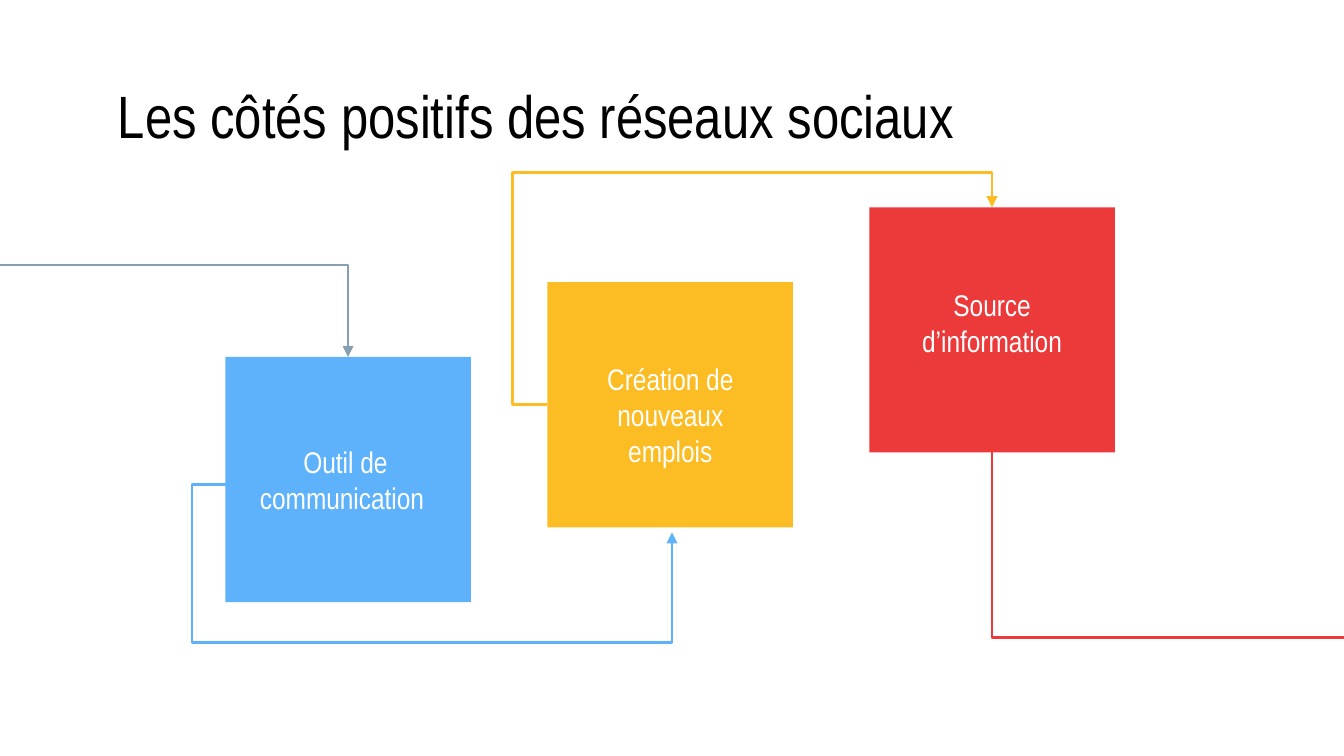
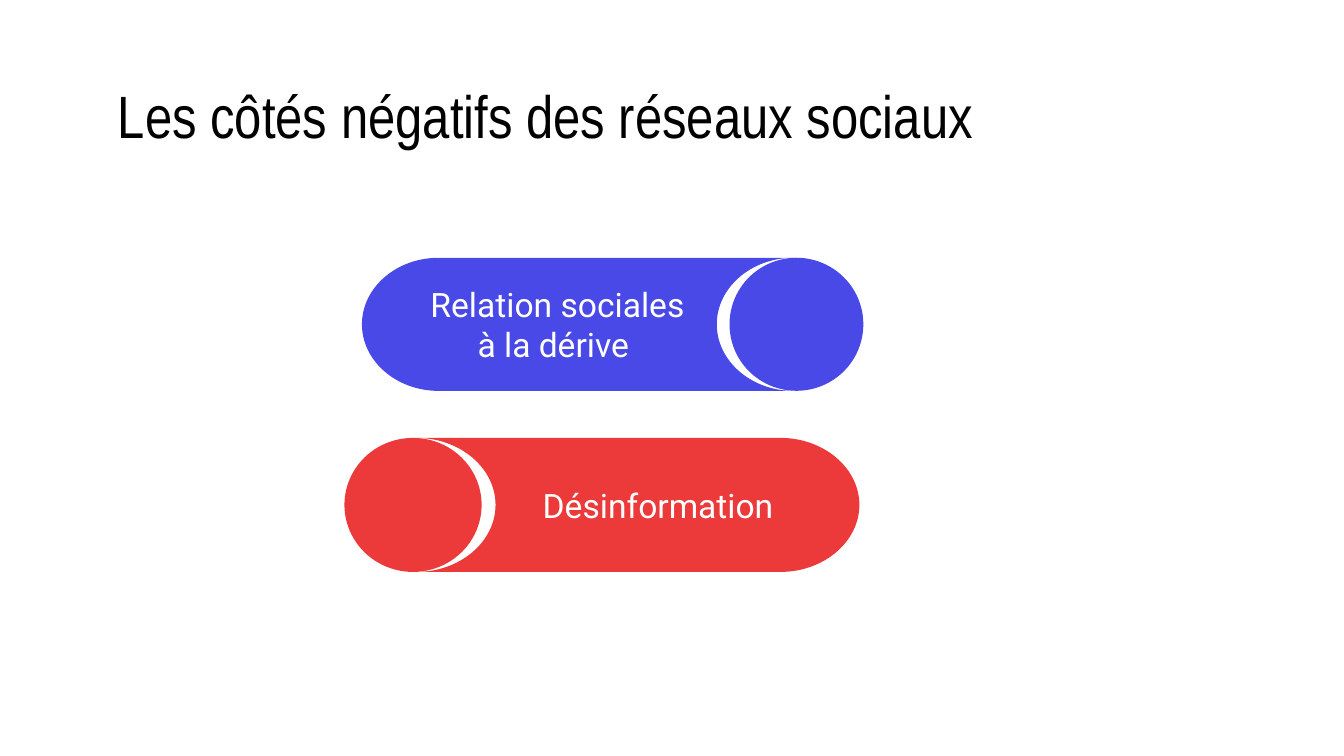
from dataclasses import dataclass

from lxml.etree import SubElement
from pptx import Presentation
from pptx.dml.color import RGBColor
from pptx.enum.shapes import MSO_CONNECTOR as Link, MSO_SHAPE as Preset
from pptx.enum.text import MSO_ANCHOR as Anchor, PP_ALIGN as Align
from pptx.oxml.ns import qn
from pptx.shapes.autoshape import Shape
from pptx.shapes.shapetree import GroupShapes, SlideShapes
from pptx.slide import Slide
from pptx.text.text import TextFrame
from pptx.util import Pt

BLACK, WHITE = "000000", "FFFFFF"
SLATE, SKY, AMBER, RED, INDIGO = "869FB2", "5EB2FC", "FCBD24", "EC3A3B", "4949E7"
NARROW, ROUND = "Arial Narrow", "Roboto"
INSET = 7.2
ROUNDNESS = 0.55

SQUARE_LEFT, SQUARE_TOP = 120.75, 191.25
SQUARE_STEP_X, SQUARE_STEP_Y = 172.5, -40.1
SQUARE_WIDTH, SQUARE_HEIGHT = 131.5, 131.4

Point = tuple[float, float]
Shapes = SlideShapes | GroupShapes


@dataclass(frozen=True)
class Route:
    start: Point
    end: Point
    color: str
    bend: str
    rotation: int = 0
    flipped: bool = False
    adjustments: tuple[int, ...] = ()
    arrow: str = ""


@dataclass(frozen=True)
class Benefit:
    label: str
    color: str
    label_left: float
    label_top: float
    route: Route


@dataclass(frozen=True)
class Drawback:
    lines: tuple[str, ...]
    color: str
    top: float
    height: float
    near: float
    far: float
    bulge: float
    disc_left: float
    disc_width: float
    inset_left: float
    inset_right: float


ENTRY = Route((186.5, 191.25), (-7.3, 142), SLATE, "bentConnector2", 90, True, arrow="headEnd")

BENEFITS = (
    Benefit("Outil de communication ", SKY, 130.4, 243.4,
            Route((121.7, 259.6), (360, 285.2), SKY, "bentConnector4",
                  adjustments=(-7900, 331000), arrow="tailEnd")),
    Benefit("Création de nouveaux emplois", AMBER, 304.4, 208.5,
            Route((293.2, 216.8), (531.4, 111.1), AMBER, "bentConnector4", 180, True,
                  (-7900, 117700), "tailEnd")),
    Benefit("Source d’information", RED, 476.8, 159.1,
            Route((531.4, 242.4), (740.2, 341.4), RED, "bentConnector2", 270, True)),
)

DRAWBACKS = (
    Drawback(("Désinformation",), RED, 234.6, 71.8, 223.2, 418.1, 42.3,
             184.5, 73.5, 57.6, 36),
    Drawback(("Relation sociales", "à la dérive "), INDIGO, 138.1, 71.3, 234.9, 425, -41,
             390.8, 71.7, 36, 57.6),
)


def rgb(color: str) -> RGBColor:
    return RGBColor.from_string(color)


def paint(shape: Shape, color: str) -> None:
    shape.shadow.inherit = False
    shape.fill.solid()
    shape.fill.fore_color.rgb = rgb(color)
    shape.line.fill.background()


def write(frame: TextFrame, lines: tuple[str, ...], size: float, font: str, color: str,
          align: Align, inset_left: float = INSET, inset_right: float = INSET) -> None:
    frame.word_wrap = True
    frame.vertical_anchor = Anchor.MIDDLE
    frame.margin_left, frame.margin_right = Pt(inset_left), Pt(inset_right)
    frame.margin_top = frame.margin_bottom = Pt(INSET)
    for index, line in enumerate(lines):
        paragraph = frame.add_paragraph() if index else frame.paragraphs[0]
        paragraph.alignment = align
        run = paragraph.add_run()
        run.text = line
        run.font.size = Pt(size)
        run.font.name = font
        run.font.color.rgb = rgb(color)


def add_title(slide: Slide, title: str) -> None:
    box = slide.shapes.add_textbox(Pt(56), Pt(42.5), Pt(608.4), Pt(38.2))
    write(box.text_frame, (title,), 32, NARROW, BLACK, Align.LEFT)


def add_route(shapes: Shapes, route: Route) -> None:
    (x1, y1), (x2, y2) = route.start, route.end
    width, height = abs(x2 - x1), abs(y2 - y1)
    if route.rotation in (90, 270):
        width, height = height, width
    left, top = (x1 + x2 - width) / 2, (y1 + y2 - height) / 2
    connector = shapes.add_connector(
        Link.ELBOW, Pt(left), Pt(top), Pt(left + width), Pt(top + height))
    connector.line.color.rgb = rgb(route.color)
    connector.line.width = Pt(1.5)

    properties = connector._element.spPr
    frame = properties.find(qn("a:xfrm"))
    frame.set("rot", str(route.rotation * 60000))
    frame.set("flipH", str(int(route.flipped)))
    geometry = properties.find(qn("a:prstGeom"))
    geometry.set("prst", route.bend)
    guides = geometry.find(qn("a:avLst"))
    for number, value in enumerate(route.adjustments, 1):
        SubElement(guides, qn("a:gd"), name=f"adj{number}", fmla=f"val {value}")
    if route.arrow:
        SubElement(properties.find(qn("a:ln")), qn(f"a:{route.arrow}"), type="triangle")
    SubElement(properties, qn("a:effectLst"))


def add_benefit(slide: Slide, index: int, benefit: Benefit) -> None:
    shapes = slide.shapes.add_group_shape().shapes
    square = shapes.add_shape(
        Preset.RECTANGLE,
        Pt(SQUARE_LEFT + index * SQUARE_STEP_X), Pt(SQUARE_TOP + index * SQUARE_STEP_Y),
        Pt(SQUARE_WIDTH), Pt(SQUARE_HEIGHT))
    paint(square, benefit.color)
    add_route(shapes, benefit.route)
    label = shapes.add_textbox(
        Pt(benefit.label_left), Pt(benefit.label_top), Pt(109.4), Pt(27.4))
    write(label.text_frame, (benefit.label,), 16, NARROW, WHITE, Align.CENTER)


def toward(start: float, end: float) -> float:
    return start + ROUNDNESS * (end - start)


def round_corner(band: Shape, segment: int, start: Point, end: Point, from_cap: bool) -> None:
    (cap_x, cap_y), (side_x, side_y) = (start, end) if from_cap else (end, start)
    controls = [(toward(cap_x, side_x), cap_y), (side_x, toward(side_y, cap_y))]
    if not from_cap:
        controls.reverse()
    outline = next(band._element.iter(qn("a:path")))
    straight = outline[segment]
    curve = SubElement(outline, qn("a:cubicBezTo"))
    for x, y in (*controls, end):
        SubElement(curve, qn("a:pt"), x=str(Pt(x) - band.left), y=str(Pt(y) - band.top))
    outline.replace(straight, curve)


def add_band(shapes: Shapes, drawback: Drawback) -> Shape:
    top, bottom = drawback.top, drawback.top + drawback.height
    middle = (top + bottom) / 2
    near, far, bulge = drawback.near, drawback.far, drawback.bulge
    corners = [(near, top), (near + bulge, middle), (near, bottom),
               (far, bottom), (far + bulge, middle), (far, top)]
    vertices = [(Pt(x), Pt(y)) for x, y in corners]
    builder = shapes.build_freeform(*vertices[0])
    builder.add_line_segments(vertices[1:], close=True)
    band = builder.convert_to_shape()
    for segment in (1, 2, 4, 5):
        round_corner(band, segment, corners[segment - 1], corners[segment], segment in (1, 4))
    return band


def add_drawback(slide: Slide, drawback: Drawback) -> None:
    shapes = slide.shapes.add_group_shape().shapes
    band = add_band(shapes, drawback)
    paint(band, drawback.color)
    write(band.text_frame, drawback.lines, 18, ROUND, WHITE, Align.CENTER,
          drawback.inset_left, drawback.inset_right)
    disc = shapes.add_shape(
        Preset.OVAL, Pt(drawback.disc_left), Pt(drawback.top),
        Pt(drawback.disc_width), Pt(drawback.height))
    paint(disc, drawback.color)


def main() -> None:
    deck = Presentation()
    deck.slide_width, deck.slide_height = Pt(720), Pt(405)
    blank = deck.slide_layouts[6]

    positives = deck.slides.add_slide(blank)
    add_title(positives, "Les côtés positifs des réseaux sociaux")
    add_route(positives.shapes, ENTRY)
    for index, benefit in enumerate(BENEFITS):
        add_benefit(positives, index, benefit)

    negatives = deck.slides.add_slide(blank)
    add_title(negatives, "Les côtés négatifs des réseaux sociaux")
    for drawback in DRAWBACKS:
        add_drawback(negatives, drawback)

    deck.save("out.pptx")


if __name__ == "__main__":
    main()
